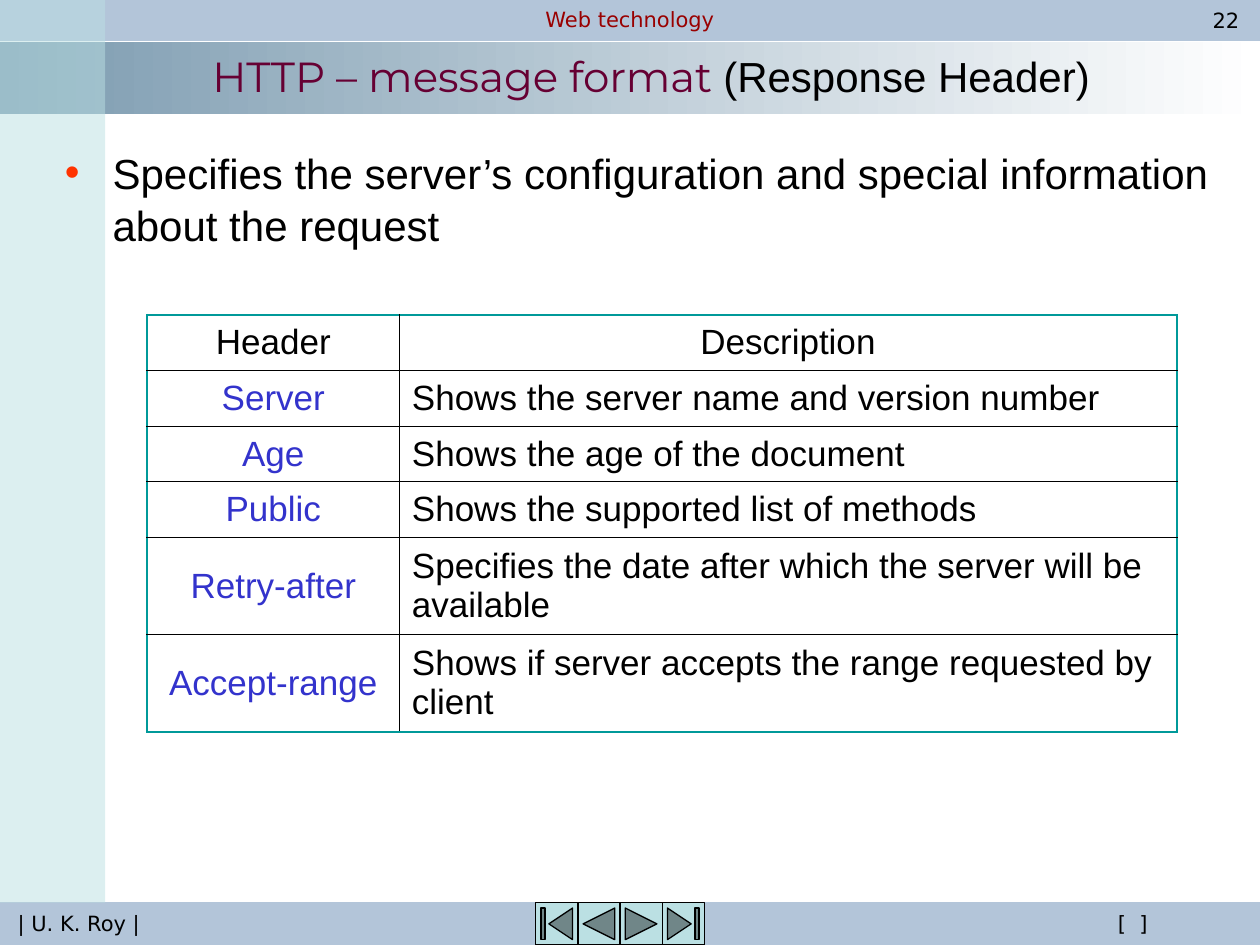
import pptx
import pptx.util
import pptx.dml.color
import pptx.enum.shapes
import pptx.enum.text
import pptx.oxml
import pptx.oxml.ns

Cm, Pt = pptx.util.Cm, pptx.util.Pt
RGBColor = pptx.dml.color.RGBColor
MSO_SHAPE = pptx.enum.shapes.MSO_SHAPE
PP_ALIGN = pptx.enum.text.PP_ALIGN
MSO_ANCHOR = pptx.enum.text.MSO_ANCHOR
qn = pptx.oxml.ns.qn
NS = pptx.oxml.ns.nsdecls("a")

BLACK = RGBColor(0x00, 0x00, 0x00)
WHITE = RGBColor(0xFF, 0xFF, 0xFF)
STEEL = RGBColor(0x7C, 0x9B, 0xB0)
BAR = RGBColor(0xB3, 0xC5, 0xD9)
AQUA = RGBColor(0xBB, 0xE0, 0xE3)
TEAL = RGBColor(0x00, 0x99, 0x99)
RED = RGBColor(0x99, 0x00, 0x00)
WINE = RGBColor(0x66, 0x00, 0x33)
BLUE = RGBColor(0x33, 0x33, 0xCC)
BULLET = RGBColor(0xFF, 0x33, 0x00)

ROWS = [
    ("Header", "Description"),
    ("Server", "Shows the server name and version number"),
    ("Age", "Shows the age of the document"),
    ("Public", "Shows the supported list of methods"),
    ("Retry-after", "Specifies the date after which the server will be available"),
    ("Accept-range", "Shows if server accepts the range requested by client"),
]
COL_WIDTHS = [5.08, 15.67]
ROW_HEIGHTS = [1.12] * 4 + [1.96] * 2
BUTTONS = [
    MSO_SHAPE.ACTION_BUTTON_BEGINNING,
    MSO_SHAPE.ACTION_BUTTON_BACK_OR_PREVIOUS,
    MSO_SHAPE.ACTION_BUTTON_FORWARD_OR_NEXT,
    MSO_SHAPE.ACTION_BUTTON_END,
]


def format_run(r, font, size, color, shadow=False):
    r.font.name, r.font.size = font, Pt(size)
    r.font.color.rgb = color
    if shadow:
        effect = pptx.oxml.parse_xml(
            f'<a:effectLst {NS}><a:outerShdw dist="38100" dir="18900000">'
            '<a:srgbClr val="808080"/></a:outerShdw></a:effectLst>')
        r.font._element.find(qn("a:solidFill")).addnext(effect)


def add_box(slide, kind, x, y, w, h, fill=None, line=None):
    sp = slide.shapes.add_shape(kind, Cm(x), Cm(y), Cm(w), Cm(h))
    sp.shadow.inherit = False
    if fill is None:
        sp.fill.background()
    else:
        sp.fill.solid()
        sp.fill.fore_color.rgb = fill
    if line is None:
        sp.line.fill.background()
    else:
        sp.line.color.rgb = line
        sp.line.width = Pt(0.75)
    return sp


def add_label(slide, text, x, y, w, color=BLACK, shadow=False):
    sp = add_box(slide, MSO_SHAPE.ROUNDED_RECTANGLE, x, y, w, 0.81)
    sp.adjustments[0] = 0.47
    tf = sp.text_frame
    tf.word_wrap = False
    tf.vertical_anchor = MSO_ANCHOR.MIDDLE
    tf.text = text
    p = tf.paragraphs[0]
    p.alignment = PP_ALIGN.CENTER
    format_run(p.runs[0], "DejaVu Sans", 12, color, shadow)


def add_frame(slide):
    # Title band, then top and bottom bars
    band = add_box(slide, MSO_SHAPE.RECTANGLE, 0, 0.84, 25.4, 1.47)
    band.fill.gradient()
    band.fill.gradient_angle = 0
    for stop, color, pos in zip(band.fill.gradient_stops, (STEEL, WHITE), (0, 1)):
        stop.color.rgb, stop.position = color, pos
    for y, h in ((0, 0.81), (18.19, 0.84)):
        add_box(slide, MSO_SHAPE.RECTANGLE, 0, y, 25.4, h, BAR, BAR)

    # Labels on the bars
    add_label(slide, "Web technology", 8.89, -0.02, 7.62, RED)
    add_label(slide, "| U. K. Roy |", 0, 18.2, 3.18)
    add_label(slide, "[  ]", 20.32, 18.2, 5.03, shadow=True)
    add_label(slide, "22", 24.08, 0, 1.27)

    # Navigation buttons
    for i, kind in enumerate(BUTTONS):
        add_box(slide, kind, 10.8 + 0.85 * i, 18.2, 0.85, 0.85, AQUA, BLACK)

    # Translucent side strip
    strip = add_box(slide, MSO_SHAPE.RECTANGLE, 0, 0, 2.12, 18.2, AQUA)
    clr = strip.fill._xPr.find(qn("a:solidFill"))[0]
    clr.append(pptx.oxml.parse_xml(f'<a:alpha {NS} val="50000"/>'))


def set_title(slide):
    title = slide.shapes.title
    slide.shapes._spTree.append(title._element)  # bring above the band
    title.left, title.top, title.width, title.height = Cm(2.12), Cm(0.33), Cm(22.01), Cm(2.41)
    tf = title.text_frame
    tf.auto_size = pptx.enum.text.MSO_AUTO_SIZE.NONE
    tf.vertical_anchor = MSO_ANCHOR.MIDDLE
    p = tf.paragraphs[0]
    p.alignment = PP_ALIGN.CENTER
    for text, font, color in (("HTTP – message format ", "Montserrat", WINE),
                              ("(Response Header)", "Arial", BLACK)):
        r = p.add_run()
        r.text = text
        format_run(r, font, 24, color, shadow=True)


def set_borders(cell, on_edge):
    """Teal lines on the table's outside, thin black ones inside."""
    tcPr = cell._tc.get_or_add_tcPr()
    for i, (side, edge) in enumerate(zip("LRTB", on_edge)):
        color, width = (TEAL, 1.5) if edge else (BLACK, 0.5)
        tcPr.insert(i, pptx.oxml.parse_xml(
            f'<a:ln{side} {NS} w="{Pt(width)}"><a:solidFill>'
            f'<a:srgbClr val="{color}"/></a:solidFill></a:ln{side}>'))


def add_header_table(slide):
    n_rows, n_cols = len(ROWS), len(COL_WIDTHS)
    table = slide.shapes.add_table(n_rows, n_cols, Cm(2.97), Cm(6.35),
                                   Cm(sum(COL_WIDTHS)), Cm(sum(ROW_HEIGHTS))).table
    table.first_row = table.horz_banding = False
    for col, w in zip(table.columns, COL_WIDTHS):
        col.width = Cm(w)
    for i, (row, h) in enumerate(zip(table.rows, ROW_HEIGHTS)):
        row.height = Cm(h)
        for j, cell in enumerate(row.cells):
            cell.text = ROWS[i][j]
            cell.vertical_anchor = MSO_ANCHOR.MIDDLE
            cell.fill.background()
            p = cell.text_frame.paragraphs[0]
            p.alignment = PP_ALIGN.CENTER if i == 0 or j == 0 else PP_ALIGN.LEFT
            format_run(p.runs[0], "Arial", 20, BLUE if i > 0 and j == 0 else BLACK)
            set_borders(cell, (j == 0, j == n_cols - 1, i == 0, i == n_rows - 1))


def add_bullet_text(slide, text):
    tf = slide.shapes.add_textbox(Cm(1.06), Cm(2.79), Cm(24.34), Cm(2.34)).text_frame
    tf.word_wrap = True
    tf.text = text
    p = tf.paragraphs[0]
    pPr = p._p.get_or_add_pPr()
    pPr.set("marL", str(Cm(0.96)))
    pPr.set("indent", str(-Cm(0.96)))
    for xml in (f'<a:buClr {NS}><a:srgbClr val="{BULLET}"/></a:buClr>',
                f'<a:buFont {NS} typeface="Arial"/>',
                f'<a:buChar {NS} char="•"/>'):
        pPr.append(pptx.oxml.parse_xml(xml))
    p.line_spacing = 1.05
    format_run(p.runs[0], "Arial", 24, BLACK)


def main():
    prs = pptx.Presentation()
    prs.slide_width, prs.slide_height = Cm(25.4), Cm(19.05)
    slide = prs.slides.add_slide(prs.slide_layouts[5])
    add_frame(slide)
    set_title(slide)
    add_header_table(slide)
    add_bullet_text(slide, "Specifies the server’s configuration and special "
                           "information about the request")
    prs.save("out.pptx")


if __name__ == "__main__":
    main()
